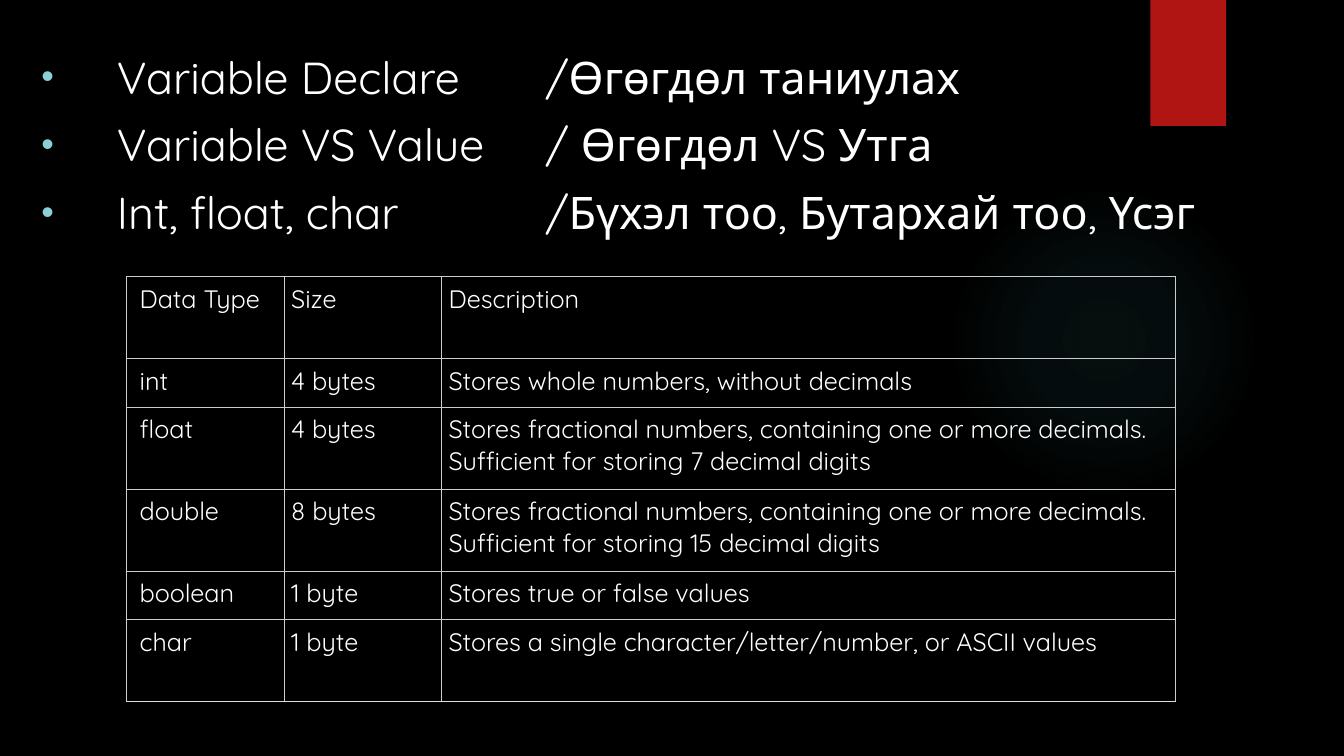
from lxml import etree
from pptx import Presentation
from pptx.dml.color import RGBColor
from pptx.enum import shapes, text
from pptx.oxml import parse_xml
from pptx.util import Pt

COLORS = {"black": "000000", "white": "FFFFFF", "red": "B01513", "glow": "50B9C1",
          "bullet": "8AD0D6", "border": "CCCCCC", "bottom": "DDDDDD"}
DRAWING = 'xmlns:a="http://schemas.openxmlformats.org/drawingml/2006/main"'
TOPICS = [
    "Variable Declare\t/Өгөгдөл таниулах",
    "Variable VS Value \t/ Өгөгдөл VS Утга",
    "Int, float, char \t/Бүхэл тоо, Бутархай тоо, Үсэг",
]
FRACTIONS = ("Stores fractional numbers, containing one or more decimals. "
             "Sufficient for storing {} decimal digits")
DATA_TYPES = [
    ("Data Type", "Size", "Description"),
    ("int", "4 bytes", "Stores whole numbers, without decimals"),
    ("float", "4 bytes", FRACTIONS.format(7)),
    ("double", "8 bytes", FRACTIONS.format(15)),
    ("boolean", "1 byte", "Stores true or false values"),
    ("char", "1 byte", "Stores a single character/letter/number, or ASCII values"),
]
COLUMN_WIDTHS = [113, 112.4, 524.1]
TALL, SHORT = 58.6, 34.8
ROW_HEIGHTS = [TALL, SHORT, TALL, TALL, SHORT, TALL]


def add_xml(parent, markup):
    """Append DrawingML elements, written with the a: prefix, to parent."""
    for element in list(parse_xml(f"<a:wrap {DRAWING}>{markup}</a:wrap>")):
        parent.append(element)
    etree.cleanup_namespaces(parent)


def format_paragraph(paragraph, size):
    font = paragraph.runs[0].font
    for name, value in {"size": Pt(size), "name": "Quicksand", "bold": False}.items():
        setattr(font, name, value)
    font.color.rgb = RGBColor.from_string(COLORS["white"])


presentation = Presentation()
presentation.slide_width, presentation.slide_height = Pt(960), Pt(540)
slide = presentation.slides.add_slide(presentation.slide_layouts[1])
slide.background.fill.solid()
slide.background.fill.fore_color.rgb = RGBColor.from_string(COLORS["black"])
title = slide.shapes.title
title.element.getparent().remove(title.element)

# Glow and red ribbon
glow = slide.shapes.add_shape(shapes.MSO_SHAPE.OVAL, Pt(677.5), Pt(131.8), Pt(221.8), Pt(221.8))
glow.line.fill.background()
glow.shadow.inherit = False
stops = "".join(
    f'<a:gs pos="{position * 1000}"><a:srgbClr val="{COLORS["glow"]}">'
    f'<a:alpha val="{alpha * 1000}"/></a:srgbClr></a:gs>'
    for position, alpha in [(0, 7), (36, 6), (69, 0)])
glow_fill = parse_xml(
    f'<a:gradFill {DRAWING}><a:gsLst>{stops}</a:gsLst><a:path path="circle">'
    '<a:fillToRect l="50000" t="50000" r="50000" b="50000"/></a:path></a:gradFill>')
glow.element.spPr.insert(2, glow_fill)

ribbon = slide.shapes.add_shape(shapes.MSO_SHAPE.RECTANGLE, Pt(821.8), 0, Pt(54), Pt(90))
ribbon.fill.solid()
ribbon.fill.fore_color.rgb = RGBColor.from_string(COLORS["red"])
ribbon.line.fill.background()
add_xml(ribbon.element.spPr,
        '<a:effectLst><a:outerShdw blurRad="38100" dist="25400" dir="5400000">'
        f'<a:srgbClr val="{COLORS["black"]}"><a:alpha val="45000"/></a:srgbClr>'
        '</a:outerShdw></a:effectLst>')

# Topics, with the translations lined up at a tab stop
topics = slide.placeholders[1]
ribbon.element.addnext(topics.element)
topics.left, topics.top, topics.width, topics.height = Pt(22.3), Pt(31.7), Pt(894.2), Pt(491)
frame = topics.text_frame
frame.text = "\n".join(TOPICS)
for name, value in {"word_wrap": True, "auto_size": text.MSO_AUTO_SIZE.NONE,
                    "vertical_anchor": text.MSO_ANCHOR.TOP}.items():
    setattr(frame, name, value)
for paragraph in frame.paragraphs:
    format_paragraph(paragraph, 32)
    paragraph.space_before = Pt(10)
    properties = paragraph._p.get_or_add_pPr()
    properties.set("marL", str(Pt(54)))
    properties.set("indent", str(-Pt(54)))
    add_xml(properties,
            f'<a:buClr><a:srgbClr val="{COLORS["bullet"]}"/></a:buClr>'
            '<a:buSzPct val="80000"/><a:buFont typeface="Arial"/><a:buChar char="•"/>'
            f'<a:tabLst><a:tab pos="{Pt(360)}" algn="l"/></a:tabLst>')

# Data types
table = slide.shapes.add_table(len(DATA_TYPES), len(COLUMN_WIDTHS), Pt(90.2), Pt(197.3),
                               Pt(sum(COLUMN_WIDTHS)), Pt(sum(ROW_HEIGHTS))).table
table.first_row = table.horz_banding = False
for column, width in zip(table.columns, COLUMN_WIDTHS):
    column.width = Pt(width)
for row_index, (row, values) in enumerate(zip(table.rows, DATA_TYPES)):
    row.height = Pt(ROW_HEIGHTS[row_index])
    last_row = row_index == len(DATA_TYPES) - 1
    for column_index, (cell, value) in enumerate(zip(row.cells, values)):
        cell.text = value
        format_paragraph(cell.text_frame.paragraphs[0], 18)
        for side in ("left", "top", "right", "bottom"):
            setattr(cell, f"margin_{side}", Pt(4.8))
        if column_index == 0:
            cell.margin_left = Pt(9.6)
        for side in "LRTB":
            color = COLORS["bottom" if last_row and side == "B" else "border"]
            add_xml(cell._tc.get_or_add_tcPr(),
                    f'<a:ln{side} w="{Pt(0.6)}"><a:solidFill><a:srgbClr val="{color}"/>'
                    f'</a:solidFill></a:ln{side}>')
        cell.fill.background()

presentation.save("out.pptx")
